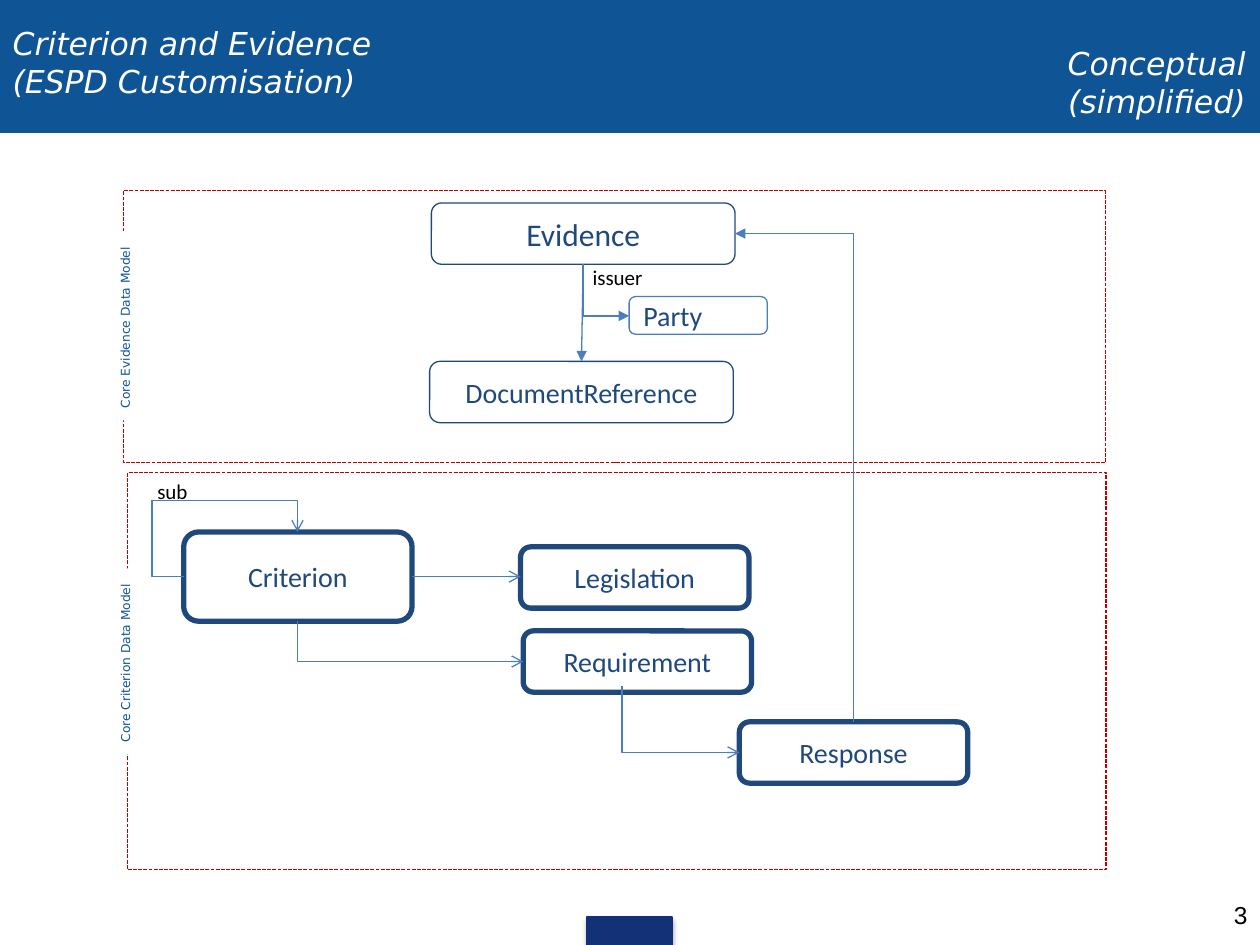
"""Build the conceptual slide of the criterion and evidence data models."""
from lxml.etree import SubElement
from pptx import Presentation
from pptx.dml.color import RGBColor
from pptx.enum.dml import MSO_LINE as DASH
from pptx.enum.shapes import MSO_CONNECTOR as CONN, MSO_SHAPE as SHAPE
from pptx.enum.text import MSO_ANCHOR as ANCHOR, MSO_AUTO_SIZE as AUTO, PP_ALIGN as ALIGN
from pptx.oxml.ns import qn
from pptx.util import Pt

COLORS = {"band": "0F5494", "mark": "133176", "ink": "1F497D", "link": "4B7EBC",
          "frame": "C00000", "white": "FFFFFF", "black": "000000"}
HEADING = {"name": "DejaVu Sans", "size": Pt(18), "italic": True, "bold": False}
NODE = {"name": "Calibri", "size": Pt(16)}
NOTE = {"name": "Calibri", "size": Pt(12)}
SIDE = {"name": "DejaVu Sans", "size": Pt(7)}
NUMBER = {"name": "Arial", "size": Pt(14)}


class Deck:
    """Holds the style and the current slide, and draws each kind of element."""

    def __init__(self):
        self.prs = Presentation()
        self.prs.slide_width, self.prs.slide_height = Pt(720), Pt(540)
        self.s = self.prs.slides.add_slide(self.prs.slide_layouts[5])

    def color(self, name):
        return RGBColor.from_string(COLORS[name])

    def set_text(self, sp, text, font, color, align=ALIGN.LEFT, anchor=ANCHOR.TOP, wrap=True):
        tf = sp.text_frame
        tf.text = text
        frame = {"word_wrap": wrap, "auto_size": AUTO.NONE, "vertical_anchor": anchor}
        for key, value in frame.items():
            setattr(tf, key, value)
        for p in tf.paragraphs:
            p.alignment = align
            for r in p.runs:
                r.font.color.rgb = self.color(color)
                for key, value in font.items():
                    setattr(r.font, key, value)

    def title(self, text, *at):
        sp = self.s.shapes.title
        for key, value in zip(("left", "top", "width", "height"), at):
            setattr(sp, key, Pt(value))
        sp._element.getparent().append(sp._element)
        self.set_text(sp, text, HEADING, "white")

    def text(self, text, font, color, *at, **layout):
        sp = self.s.shapes.add_textbox(*map(Pt, at))
        self.set_text(sp, text, font, color, **layout)

    def shape(self, *at, kind=SHAPE.RECTANGLE, fill=None, line=None, width=0.75):
        sp = self.s.shapes.add_shape(kind, *map(Pt, at))
        sp.shadow.inherit = False
        if fill:
            sp.fill.solid()
            sp.fill.fore_color.rgb = self.color(fill)
        else:
            sp.fill.background()
        if line:
            sp.line.color.rgb = self.color(line)
            sp.line.width = Pt(width)
        else:
            sp.line.fill.background()
        return sp

    def mark(self, *at):
        sp = self.shape(*at, fill="mark", line="mark")
        effects = sp._element.spPr.find(qn("a:effectLst"))
        shadow = SubElement(effects, qn("a:outerShdw"), blurRad=str(Pt(3.1)),
                            dist=str(Pt(1.8)), dir="5400000", rotWithShape="0")
        tint = SubElement(shadow, qn("a:srgbClr"), val=COLORS["black"])
        SubElement(tint, qn("a:alpha"), val="35000")

    def frame(self, *at):
        self.shape(*at, line="frame").line.dash_style = DASH.SQUARE_DOT

    def node(self, text, *at, line="ink", width=0.75, size=16, align=ALIGN.CENTER):
        sp = self.shape(*at, kind=SHAPE.ROUNDED_RECTANGLE, line=line, width=width)
        self.set_text(sp, text, {**NODE, "size": Pt(size)}, "ink", align, ANCHOR.MIDDLE)

    def side_label(self, text, *at):
        sp = self.shape(*at, fill="white")
        sp.rotation = 270
        self.set_text(sp, text, SIDE, "band", wrap=False)

    def link(self, start, end, kind=CONN.STRAIGHT, head="triangle"):
        cn = self.s.shapes.add_connector(kind, *map(Pt, (*start, *end)))
        cn.line.color.rgb = self.color("link")
        cn.line.width = Pt(0.75)
        props = cn._element.spPr
        SubElement(props.find(qn("a:ln")), qn("a:tailEnd"), type=head)
        SubElement(props, qn("a:effectLst"))
        return props

    def elbow(self, start, end, preset, adjust=()):
        geom = self.link(start, end, CONN.ELBOW, "arrow").find(qn("a:prstGeom"))
        geom.set("prst", preset)
        guides = geom.get_or_add_avLst()
        for i, value in enumerate(adjust, 1):
            SubElement(guides, qn("a:gd"), name=f"adj{i}", fmla=f"val {round(value * 100000)}")

    def corner(self, start, end, head="arrow"):
        (x1, y1), (x2, y2) = start, end
        cx, cy, u, v = (x1 + x2) / 2, (y1 + y2) / 2, (y1 - y2) / 2, (x2 - x1) / 2
        props = self.link((cx - u, cy - v), (cx + u, cy + v), CONN.ELBOW, head)
        props.find(qn("a:prstGeom")).set("prst", "bentConnector2")
        props.find(qn("a:xfrm")).set("rot", "16200000")


def main():
    deck = Deck()
    deck.shape(0, 0, 720, 75.5, fill="band", line="band")
    deck.mark(335.5, 524, 48.5, 16)
    deck.frame(73, 270, 559, 227)
    deck.text("Conceptual\n(simplified)", HEADING, "white", 544, 21.5, 175, 51, align=ALIGN.RIGHT)
    for text, *at in (("Criterion", 105, 304, 130.5, 51), ("Requirement", 299, 360.5, 130.5, 35),
                      ("Response", 422.5, 412.5, 130.5, 35), ("Legislation", 297.5, 312.5, 130.5, 35)):
        deck.node(text, *at, width=3)
    deck.node("DocumentReference", 245.5, 206.5, 173.5, 35)
    deck.node("Evidence", 246.5, 116, 173.5, 35, size=18)
    deck.node("Party", 359.5, 169.5, 79, 21.5, line="link", align=ALIGN.LEFT)
    deck.corner((487.7, 412.5), (420, 133.5), "triangle")
    deck.link((333.25, 151), (332.25, 206.5))
    deck.corner((333.25, 151), (359.5, 180.5), "triangle")
    deck.elbow((235.5, 329.5), (297.5, 329.5), "bentConnector3", (0.5,))
    deck.text("issuer", NOTE, "black", 331.5, 147.7, 43, 21.5, wrap=False)
    deck.title("Criterion and Evidence\n(ESPD Customisation)", 0, 10, 293, 51)
    deck.text("3", NUMBER, "black", 552, 511, 168, 29, align=ALIGN.RIGHT)
    deck.frame(70.7, 109, 561, 155.5)
    deck.side_label("Core Evidence Data Model", 18, 178.5, 107.5, 16)
    deck.side_label("Core Criterion Data Model", 18.5, 370, 106.5, 16)
    deck.elbow((105, 329.5), (170, 304), "bentConnector4", (-0.28, 1.7))
    deck.corner((170, 355), (299, 378))
    deck.corner((355.5, 392.3), (422.5, 430))
    deck.text("sub", NOTE, "black", 82.8, 270, 31.7, 21.5, wrap=False)
    deck.prs.save("out.pptx")


if __name__ == "__main__":
    main()
